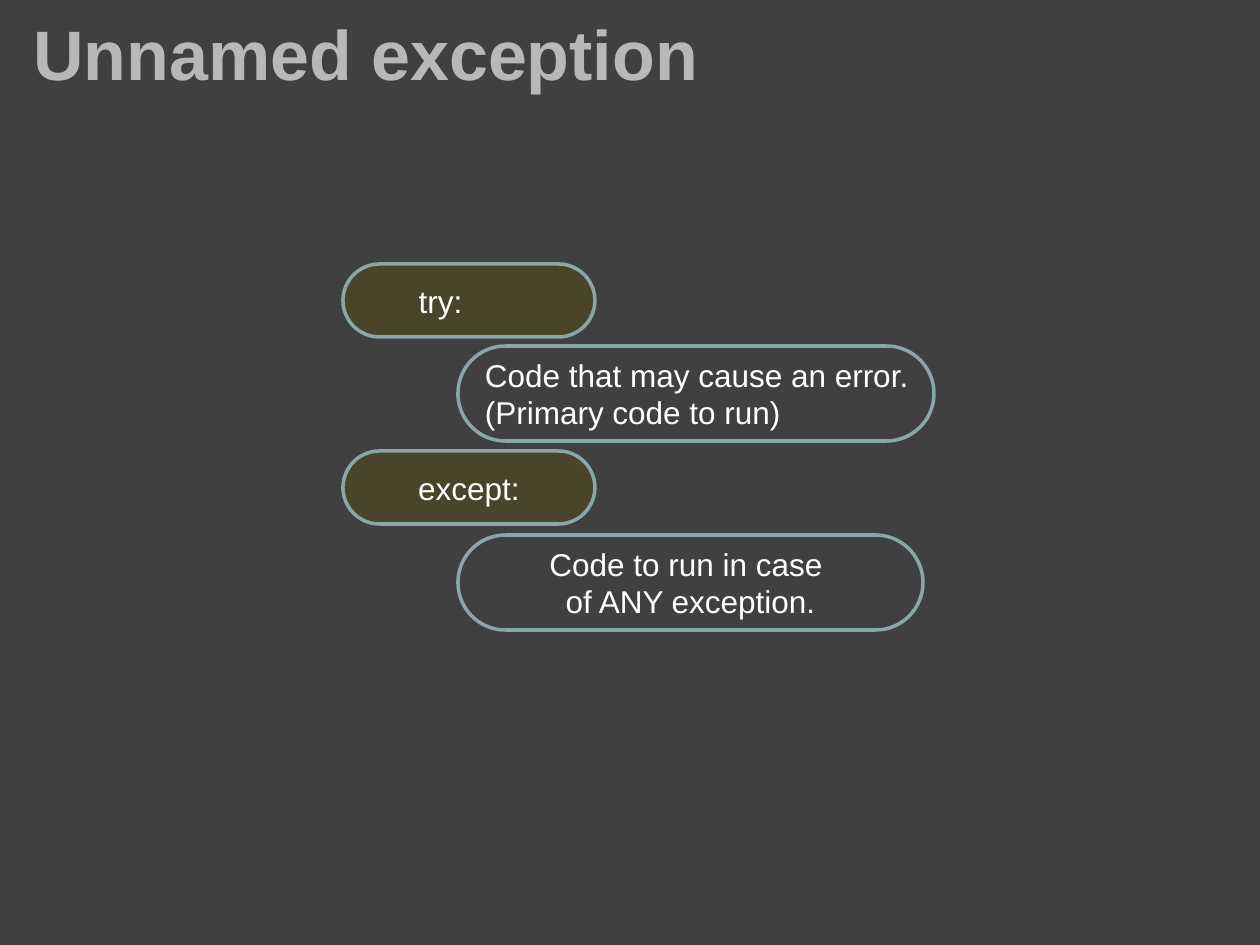
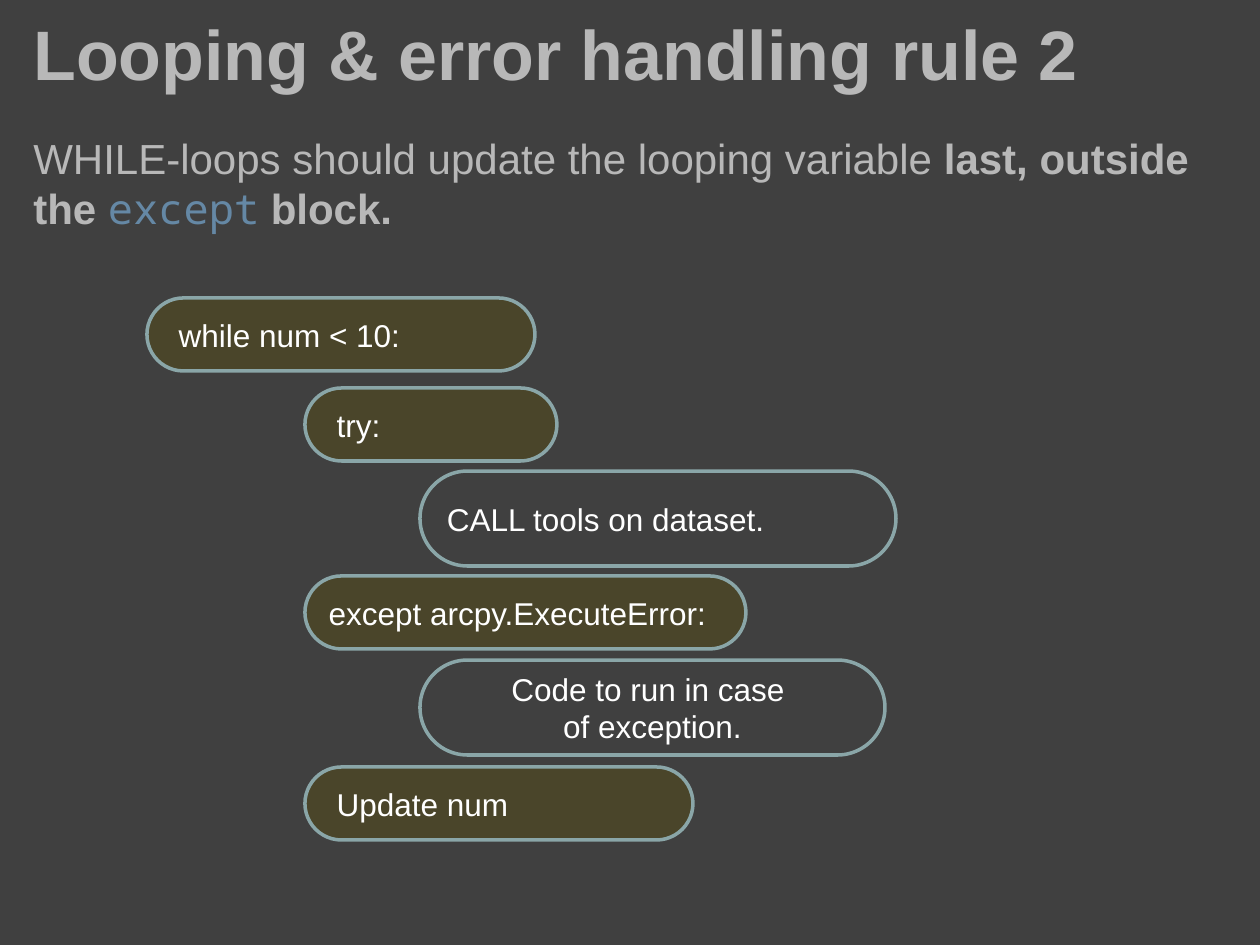
"""Build two slides on exception handling in loops."""
from pptx import Presentation
from pptx.dml.color import RGBColor
from pptx.enum.shapes import MSO_SHAPE
from pptx.enum.text import MSO_ANCHOR, PP_ALIGN
from pptx.util import Pt

SCALE = 914400 / 126
BACK = RGBColor(0x40, 0x40, 0x40)
GREY = RGBColor(0xB8, 0xB8, 0xB8)
BLUE = RGBColor(0x65, 0x88, 0xA5)
OLIVE = RGBColor(0x4A, 0x45, 0x2A)
TEAL = RGBColor(0x8A, 0xA6, 0xA8)
WHITE = RGBColor(0xFF, 0xFF, 0xFF)
SANS, MONO = "Arial", "Noto Sans Mono"

BAR, BOX = 73, 95
STEP = 115
PAD = 13
LEFT, MID = PP_ALIGN.LEFT, PP_ALIGN.CENTER

RULE = [
    ("WHILE-loops should update the looping variable ", SANS, GREY, False),
    ("last, outside the ", SANS, GREY, True),
    ("except", MONO, BLUE, False),
    (" block.", SANS, GREY, True),
]

# Each step: lines, kind, level, top, width, alignment, left inset
SLIDES = [
    ("Unnamed exception", [], 343, [
        (["try:"], BAR, 0, 264, 252, LEFT, 65),
        (["Code that may cause an error. (Primary code to run)"],
         BOX, 1, 346, 476, LEFT, PAD),
        (["except:"], BAR, 0, 451, 252, MID, PAD),
        (["Code to run in case ", "of ANY exception."],
         BOX, 1, 535, 465, MID, PAD),
    ]),
    ("Looping & error handling rule 2", RULE, 305, [
        (["while num < 10:"], BAR, -1, 298, 388, LEFT, 21),
        (["try:"], BAR, 0, 388, 252, LEFT, 21),
        (["CALL tools on dataset."], BOX, 1, 471, 476, LEFT, PAD),
        (["except arcpy.ExecuteError:"], BAR, 0, 576, 441, LEFT, PAD),
        (["Code to run in case ", "of exception."],
         BOX, 1, 660, 465, MID, PAD),
        (["Update num"], BAR, 0, 767, 388, LEFT, 21),
    ]),
]
SHIFT = {-1: -158, 0: 0, 1: STEP}


def px(num):
    return round(num * SCALE)


def style(font, size, color, bold=False, name=SANS):
    font.size, font.name, font.bold = Pt(size), name, bold
    font.color.rgb = color


def add_text(slide, top, high):
    frame = slide.shapes.add_textbox(
        px(21), px(top), px(1197), px(high)).text_frame
    frame.word_wrap = True
    return frame


def add_title(slide, text):
    frame = add_text(slide, 21, 63)
    frame.vertical_anchor = MSO_ANCHOR.MIDDLE
    frame.text = text
    style(frame.paragraphs[0].font, 40, GREY, True)


def add_rule(slide, parts):
    para = add_text(slide, 126, 145).paragraphs[0]
    para.space_before = Pt(4)
    for text, name, color, bold in parts:
        run = para.add_run()
        run.text = text
        style(run.font, 24, color, bold, name)


def add_step(slide, base, lines, high, level, top, wide, align, inset):
    pill = slide.shapes.add_shape(
        MSO_SHAPE.ROUNDED_RECTANGLE,
        px(base + SHIFT[level]), px(top), px(wide), px(high))
    pill.adjustments[0] = 0.5
    pill.shadow.inherit = False
    pill.line.color.rgb = TEAL
    pill.line.width = Pt(2)
    if high == BAR:
        pill.fill.solid()
        pill.fill.fore_color.rgb = OLIVE
    else:
        pill.fill.background()
    frame = pill.text_frame
    frame.word_wrap = True
    frame.vertical_anchor = MSO_ANCHOR.MIDDLE
    frame.margin_left = px(inset)
    frame.margin_right = px(6 if align == LEFT else PAD)
    frame.text = "\n".join(lines)
    for para in frame.paragraphs:
        para.alignment = align
        style(para.font, 18, WHITE)


def main():
    deck = Presentation()
    deck.slide_width, deck.slide_height = px(1260), px(945)
    fill = deck.slide_master.background.fill
    fill.solid()
    fill.fore_color.rgb = BACK
    for title, rule, base, steps in SLIDES:
        slide = deck.slides.add_slide(deck.slide_layouts[6])
        add_title(slide, title)
        if rule:
            add_rule(slide, rule)
        for step in steps:
            add_step(slide, base, *step)
    deck.save("out.pptx")


if __name__ == "__main__":
    main()
